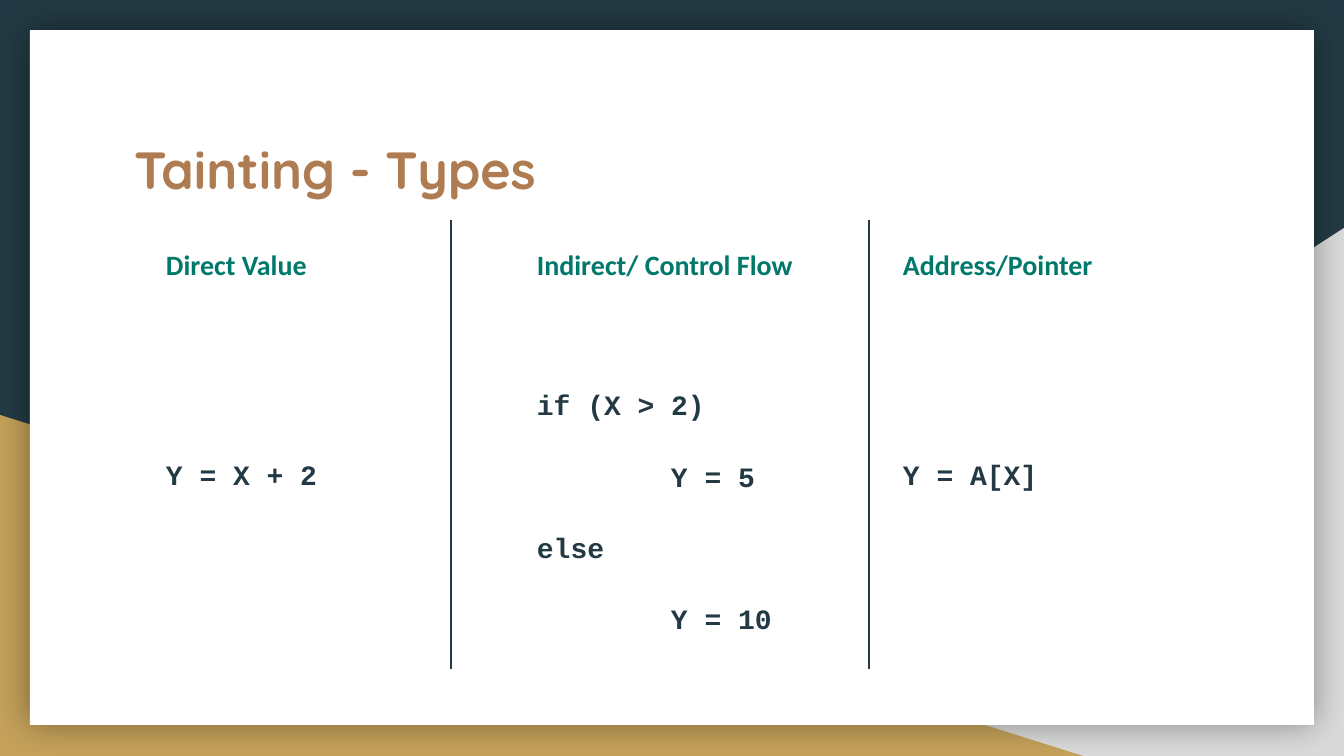
from typing import NamedTuple

from lxml.etree import SubElement
from pptx import Presentation
from pptx.dml.color import RGBColor
from pptx.enum.shapes import MSO_CONNECTOR, MSO_SHAPE
from pptx.enum.text import MSO_ANCHOR
from pptx.oxml.ns import qn
from pptx.util import Pt

SCALE = 914400 / 134.4  # EMU per px
NAVY = RGBColor(0x23, 0x3A, 0x44)
GREY = RGBColor(0xD9, 0xD9, 0xD9)
GOLD = RGBColor(0xC4, 0xA1, 0x5A)
WHITE = RGBColor(0xFF, 0xFF, 0xFF)
BROWN = RGBColor(0xAF, 0x7B, 0x51)
TEAL = RGBColor(0x00, 0x79, 0x6B)
INSET, INDENT = 13, 134


class Box(NamedTuple):
    left: int
    top: int
    width: int
    height: int


class Code(NamedTuple):
    text: str
    level: int = 0


class Column(NamedTuple):
    left: int
    head: str
    gap: float  # points between heading and code
    lines: tuple[Code, ...]


COLUMNS = (
    Column(153, "Direct Value", 91.3, (Code("Y = X + 2"),)),
    Column(524, "Indirect/ Control Flow", 54.3,
           (Code("if (X > 2)"), Code("Y = 5", 1),
            Code("else"), Code("Y = 10", 1))),
    Column(890, "Address/Pointer", 91.3, (Code("Y = A[X]"),)),
)


def px(count: int) -> int:
    return round(count * SCALE)


def add_panel(slide, kind, box: Box, color: RGBColor):
    shape = slide.shapes.add_shape(kind, *map(px, box))
    shape.shadow.inherit = False
    shape.fill.solid()
    shape.fill.fore_color.rgb = color
    shape.line.fill.background()
    return shape


def add_glow(shape) -> None:
    """Give a shape a soft shadow on all sides."""
    effects = shape._element.spPr.find(qn("a:effectLst"))
    shadow = SubElement(effects, qn("a:outerShdw"), blurRad=str(Pt(18)),
                        dist="0", dir="0", algn="ctr", rotWithShape="0")
    color = SubElement(shadow, qn("a:srgbClr"), val="000000")
    SubElement(color, qn("a:alpha"), val="40000")


def add_frame(slide, box: Box):
    frame = slide.shapes.add_textbox(*map(px, box)).text_frame
    frame.word_wrap = True
    frame.vertical_anchor = MSO_ANCHOR.TOP
    frame.margin_left = frame.margin_right = px(INSET)
    frame.margin_top = frame.margin_bottom = px(INSET)
    return frame


def write(para, text: str, *, font: str, size: int, color: RGBColor,
          before: float = 0, spacing: float = 1.0, level: int = 0) -> None:
    if level:
        para._p.get_or_add_pPr().set("marL", str(px(INDENT * level)))
    para.line_spacing = spacing
    if before:
        para.space_before = Pt(before)
    run = para.add_run()
    run.text = text
    run.font.name, run.font.size, run.font.bold = font, Pt(size), True
    run.font.color.rgb = color


def add_column(slide, col: Column) -> None:
    frame = add_frame(slide, Box(col.left, 230, 345, 427))
    write(frame.paragraphs[0], col.head, font="Calibri", size=15,
          color=TEAL, spacing=1.15)
    for row, line in enumerate(col.lines):
        write(frame.add_paragraph(), line.text, font="Courier New", size=15,
              color=NAVY, before=17.4 if row else col.gap, spacing=1.15,
              level=line.level)


def add_rule(slide, left: int) -> None:
    rule = slide.shapes.add_connector(
        MSO_CONNECTOR.STRAIGHT, px(left), px(220), px(left), px(669))
    rule.line.color.rgb = NAVY
    rule.line.width = Pt(0.75)
    SubElement(rule._element.spPr, qn("a:effectLst"))


def main() -> None:
    deck = Presentation()
    deck.slide_width, deck.slide_height = px(1344), px(756)
    slide = deck.slides.add_slide(deck.slide_layouts[6])

    # Backdrop
    slide.background.fill.solid()
    slide.background.fill.fore_color.rgb = NAVY
    wedge = add_panel(slide, MSO_SHAPE.RIGHT_TRIANGLE,
                      Box(527, 228, 817, 528), GREY)
    wedge._element.spPr.find(qn("a:xfrm")).set("flipH", "1")
    add_panel(slide, MSO_SHAPE.RIGHT_TRIANGLE, Box(0, 415, 1083, 341), GOLD)
    add_glow(add_panel(slide, MSO_SHAPE.RECTANGLE,
                       Box(30, 30, 1284, 695), WHITE))

    # Title
    title = add_frame(slide, Box(121, 124, 1103, 140))
    write(title.paragraphs[0], "Tainting - Types", font="Quicksand", size=28,
          color=BROWN)

    # Columns and the rules between them
    for col in COLUMNS:
        add_column(slide, col)
    for left in (451, 869):
        add_rule(slide, left)

    deck.save("out.pptx")


if __name__ == "__main__":
    main()
